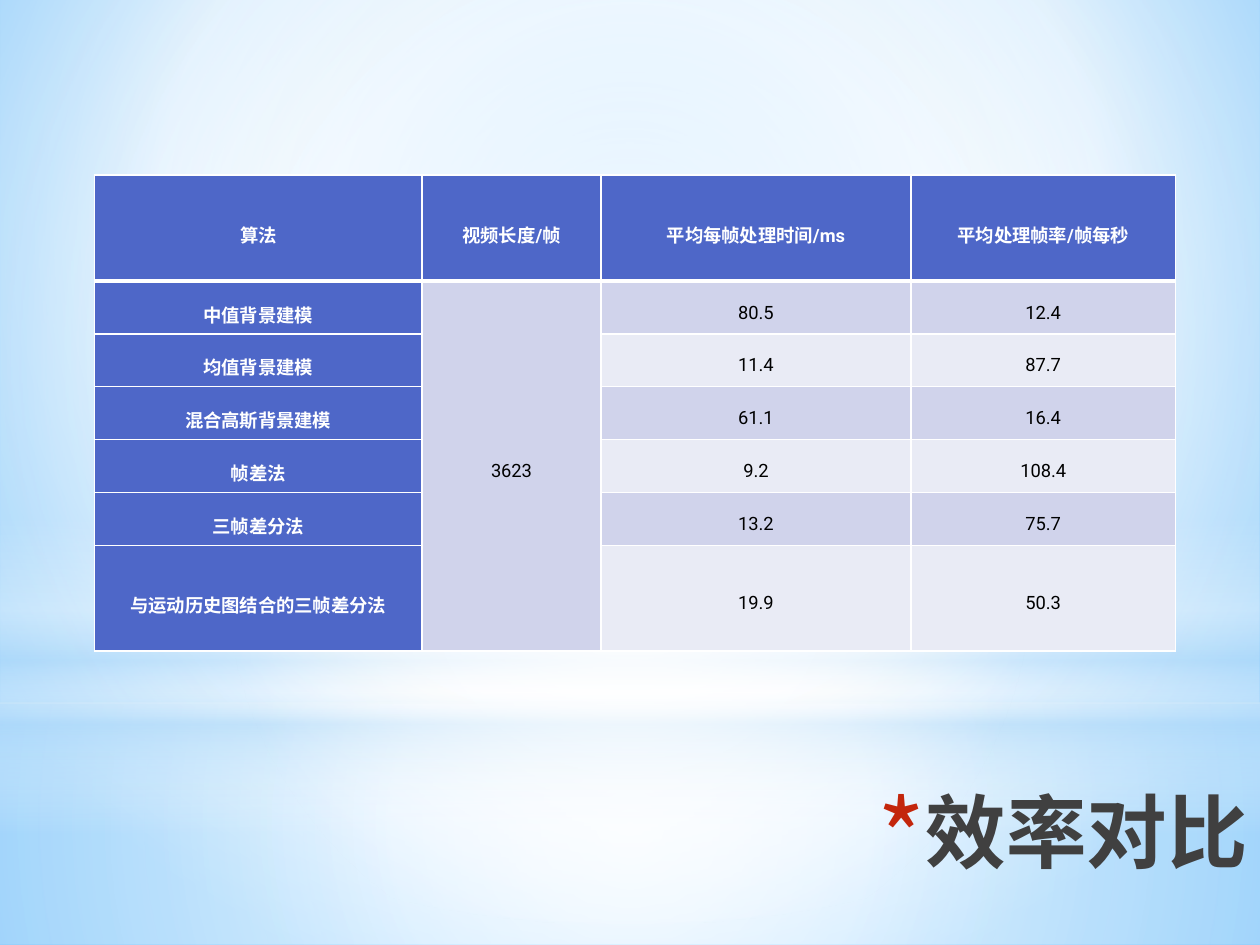
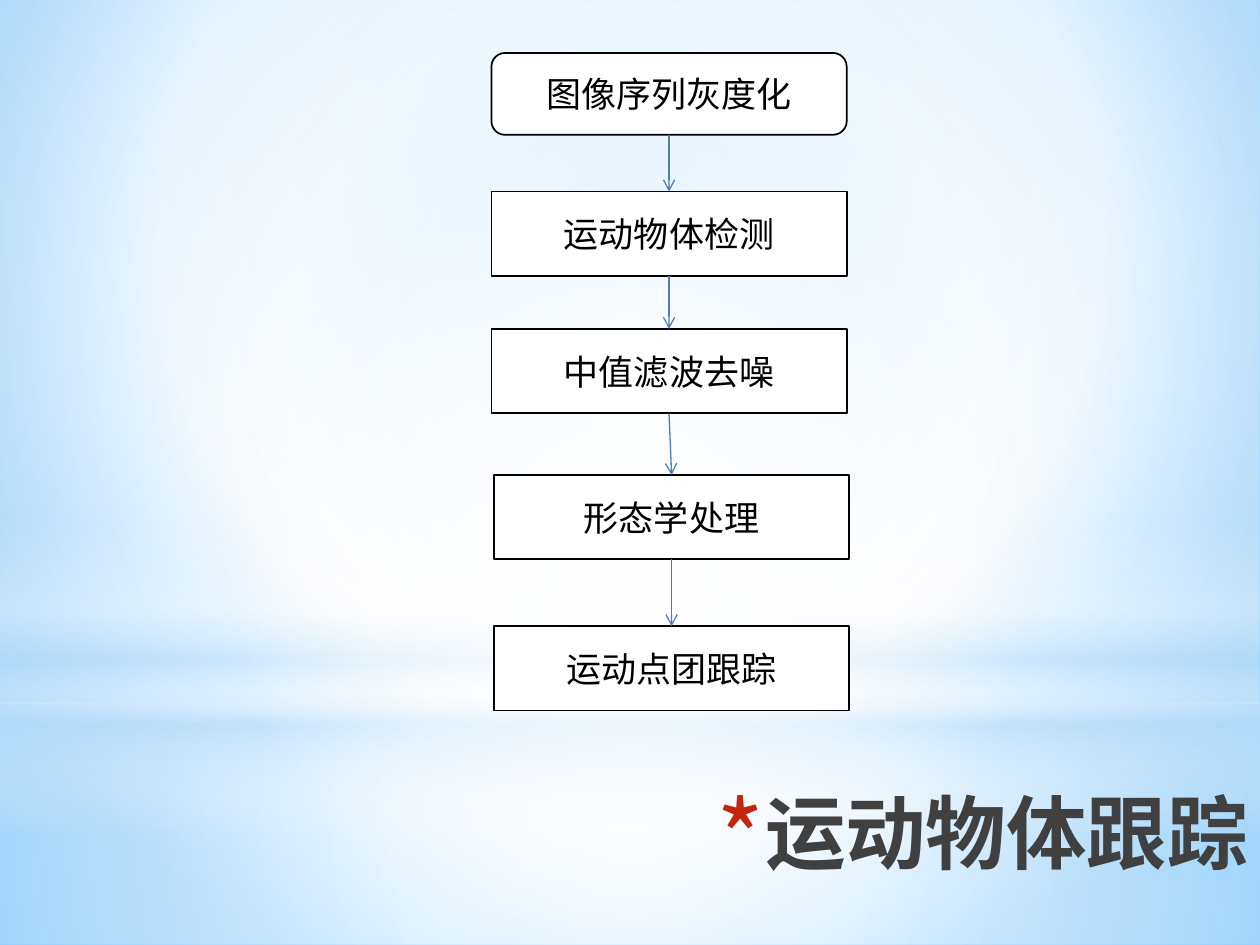
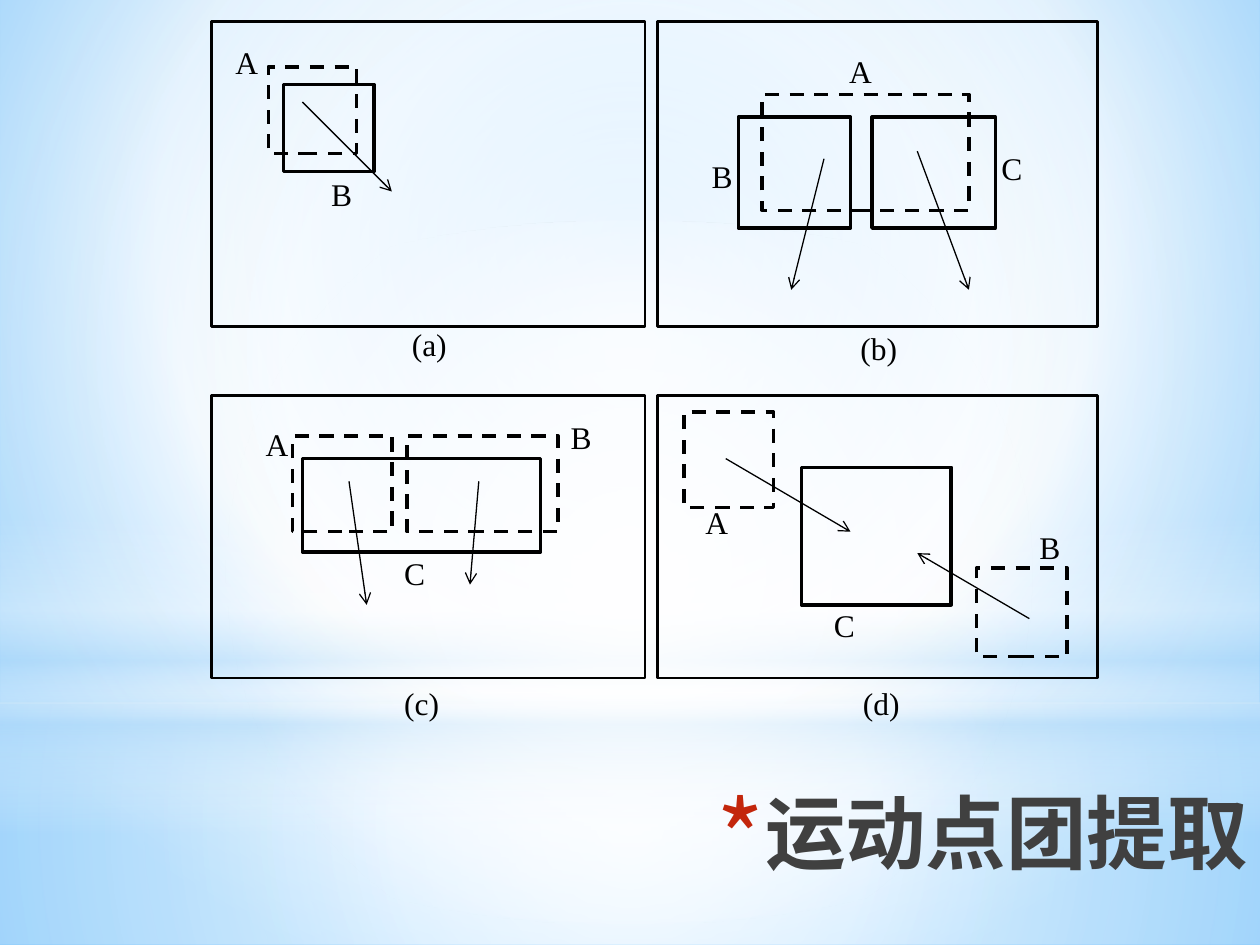
from lxml import etree
from pptx import Presentation
from pptx.dml.color import RGBColor
from pptx.enum import dml, shapes, text
from pptx.oxml.ns import qn
from pptx.util import Inches, Pt

WHITE = RGBColor(0xFF, 0xFF, 0xFF)
BLACK = RGBColor(0x00, 0x00, 0x00)
SKY = RGBColor(0x9E, 0xD5, 0xFF)
DEEP_SKY = RGBColor(0x5B, 0xB9, 0xFF)
MIST = RGBColor(0xB4, 0xDC, 0xFA)
CHARCOAL = RGBColor(0x40, 0x40, 0x40)
NAVY = RGBColor(0x21, 0x27, 0x45)
RED = RGBColor(0xC3, 0x26, 0x0C)
INDIGO = RGBColor(0x4E, 0x67, 0xC8)
BAND_DARK = RGBColor(0xD0, 0xD3, 0xEB)
BAND_LIGHT = RGBColor(0xE9, 0xEB, 0xF5)
ARROW_BLUE = RGBColor(0x4B, 0x7E, 0xBC)

RECT = shapes.MSO_SHAPE.RECTANGLE
ROUND = shapes.MSO_SHAPE.ROUNDED_RECTANGLE
OVAL = shapes.MSO_SHAPE.OVAL
ALIGN = text.PP_ALIGN
CENTERED = (50, 50, 50, 50)
SANS, SERIF, HAN, BODY = "Roboto", "Times New Roman", "Noto Sans CJK SC", "Calibri"

# Backdrop bands: shape, top, height, gradient stops (position, colour, opacity), focus
BANDS = [
    (RECT, 5.58, 1.92, [(0, WHITE, 91), (37, WHITE, 76), (100, MIST, 79)], CENTERED),
    (RECT, 0, 5.58, [(0, WHITE, 89), (48, WHITE, 62), (100, MIST, 79)], CENTERED),
    (RECT, 4.12, 2.5, [(0, WHITE, 0), (29, WHITE, 30), (45, MIST, 40),
                       (55, WHITE, 26), (65, MIST, 60), (100, WHITE, 0)], None),
    (OVAL, 1.75, 5.58, [(0, WHITE, 100), (56, WHITE, 0)], CENTERED),
]


def add(parent, tag, **attrs):
    return etree.SubElement(parent, qn(tag), {k: str(v) for k, v in attrs.items()})


def set_gradient(parent, stops, focus=None):
    """Swap the solid fill in parent for a gradient: circular with a focus, else vertical."""
    solid = parent.find(qn("a:solidFill"))
    grad = etree.Element(qn("a:gradFill"), rotWithShape="1")
    gs_list = add(grad, "a:gsLst")
    for pos, color, opacity in stops:
        clr = add(add(gs_list, "a:gs", pos=pos * 1000), "a:srgbClr", val=color)
        if opacity < 100:
            add(clr, "a:alpha", val=opacity * 1000)
    if focus:
        circle = add(grad, "a:path", path="circle")
        add(circle, "a:fillToRect", **{side: v * 1000 for side, v in zip("ltrb", focus)})
    else:
        add(grad, "a:lin", ang=90 * 60000, scaled=0)
    parent.replace(solid, grad)


class Deck:
    def __init__(self):
        self.prs = Presentation()
        self.prs.slide_width, self.prs.slide_height = Inches(10), Inches(7.5)
        self.s = None

    def slide(self, title, left, top=6.25):
        self.s = self.prs.slides.add_slide(self.prs.slide_layouts[6])
        self.s.background.fill.solid()
        set_gradient(self.s.element.find(".//" + qn("p:bgPr")),
                     [(0, SKY, 100), (60, WHITE, 100), (100, DEEP_SKY, 100)],
                     (20, 10, 20, 60))
        for kind, y, height, stops, focus in BANDS:
            sp = self.shape(kind, 0, y, 10, height, fill=WHITE)
            set_gradient(sp.element.spPr, stops, focus)
        self.title(title, left, top)

    def title(self, words, left, top):
        tf = self.s.shapes.add_textbox(Inches(left), Inches(top),
                                       Inches(10 - left), Inches(1.25)).text_frame
        tf.word_wrap = True
        p = tf.paragraphs[0]
        p.alignment, p.line_spacing = ALIGN.RIGHT, 0.9
        r = p.add_run()
        r.text = words
        self.style(r.font, SANS, 46, CHARCOAL, True)
        set_gradient(r._r.get_or_add_rPr(),
                     [(0, BLACK, 100), (40, CHARCOAL, 100), (100, NAVY, 65)])
        # Hanging red asterisk
        pPr = p._p.get_or_add_pPr()
        pPr.set("marL", str(Inches(0.35)))
        pPr.set("indent", str(-Inches(0.35)))
        add(add(pPr, "a:buClr"), "a:srgbClr", val=RED)
        add(pPr, "a:buSzPct", val=128000)
        add(pPr, "a:buFont", typeface=HAN)
        add(pPr, "a:buChar", char="*")

    def style(self, font, name, size, color, bold=False):
        font.name, font.size, font.bold = name, Pt(size), bold
        font.color.rgb = color

    def put_text(self, tf, words, name, size, color=BLACK, align=ALIGN.CENTER, bold=False):
        p = tf.paragraphs[0]
        p.text, p.alignment = words, align
        self.style(p.font, name, size, color, bold)
        return p

    def shape(self, kind, x, y, w, h, fill=None, line=None, dashed=False):
        sp = self.s.shapes.add_shape(kind, Inches(x), Inches(y), Inches(w), Inches(h))
        sp.shadow.inherit = False
        if fill is None:
            sp.fill.background()
        else:
            sp.fill.solid()
            sp.fill.fore_color.rgb = fill
        if line is None:
            sp.line.fill.background()
        else:
            sp.line.color.rgb, sp.line.width = BLACK, Pt(line)
        if dashed:
            sp.line.dash_style = dml.MSO_LINE.DASH
        return sp

    def box(self, kind, x, y, w, h, words, font):
        tf = self.shape(kind, x, y, w, h, WHITE, 1).text_frame
        tf.word_wrap, tf.vertical_anchor = True, text.MSO_ANCHOR.MIDDLE
        self.put_text(tf, words, font, 20)

    def label(self, words, x, y, w):
        tf = self.s.shapes.add_textbox(Inches(x), Inches(y), Inches(w),
                                       Inches(0.41)).text_frame
        tf.word_wrap = True
        self.put_text(tf, words, SERIF, 18, align=ALIGN.JUSTIFY)

    def arrow(self, x1, y1, x2, y2, color=BLACK):
        c = self.s.shapes.add_connector(shapes.MSO_CONNECTOR.STRAIGHT, Inches(x1),
                                        Inches(y1), Inches(x2), Inches(y2))
        c.line.color.rgb, c.line.width = color, Pt(0.75)
        spPr = c._element.spPr
        add(spPr.find(qn("a:ln")), "a:tailEnd", type="arrow")
        add(spPr, "a:effectLst")

    def cell(self, cell, words, fill, color, bold, borders):
        cell.margin_left = cell.margin_right = Inches(0.07)
        cell.margin_top = cell.margin_bottom = 0
        cell.vertical_anchor = text.MSO_ANCHOR.MIDDLE
        tcPr = cell._tc.get_or_add_tcPr()
        for side, width in borders.items():
            ln = add(tcPr, "a:ln" + side, w=Pt(width))
            add(add(ln, "a:solidFill"), "a:srgbClr", val=WHITE)
        cell.fill.solid()
        cell.fill.fore_color.rgb = fill
        p = self.put_text(cell.text_frame, words, SANS, 10.5, color, bold=bold)
        p.line_spacing = 1.5

    def table(self, x, y, widths, heights, rows):
        """Header row and first column in indigo, banded body."""
        t = self.s.shapes.add_table(len(rows), len(widths), Inches(x), Inches(y),
                                    Inches(sum(widths)), Inches(sum(heights))).table
        for col, w in zip(t.columns, widths):
            col.width = Inches(w)
        for row, h in zip(t.rows, heights):
            row.height = Inches(h)
        for i, row in enumerate(rows):
            borders = {"L": 1, "R": 1, "T": 1, "B": 3} if i == 0 else {"L": 1, "R": 1, "B": 1}
            for j, words in enumerate(row):
                head = i == 0 or j == 0
                fill = INDIGO if head else BAND_DARK if i % 2 else BAND_LIGHT
                self.cell(t.cell(i, j), words, fill, WHITE if head else BLACK, head, borders)
        return t


def efficiency_slide(deck):
    deck.slide("效率对比", 5.39, 6.24)
    t = deck.table(0.75, 1.39, [2.6, 1.42, 2.46, 2.1], [0.84] + [0.42] * 5 + [0.84], [
        ("算法", "视频长度/帧", "平均每帧处理时间/ms", "平均处理帧率/帧每秒"),
        ("中值背景建模", "3623", "80.5", "12.4"),
        ("均值背景建模", "", "11.4", "87.7"),
        ("混合高斯背景建模", "", "61.1", "16.4"),
        ("帧差法", "", "9.2", "108.4"),
        ("三帧差分法", "", "13.2", "75.7"),
        ("与运动历史图结合的三帧差分法", "", "19.9", "50.3"),
    ])
    t.cell(1, 1).merge(t.cell(6, 1))


def tracking_slide(deck):
    deck.slide("运动物体跟踪", 2.88)
    width = 2.82
    steps = [
        (ROUND, 3.9, 0.42, 0.65, "图像序列灰度化", BODY),
        (RECT, 3.9, 1.52, 0.67, "运动物体检测", BODY),
        (RECT, 3.9, 2.61, 0.67, "中值滤波去噪", HAN),
        (RECT, 3.92, 3.77, 0.67, "形态学处理", HAN),
        (RECT, 3.92, 4.97, 0.67, "运动点团跟踪", HAN),
    ]
    for kind, x, y, h, words, font in steps:
        deck.box(kind, x, y, width, h, words, font)
    for (_, x1, y1, h1, *_), (_, x2, y2, *_) in zip(steps, steps[1:]):
        deck.arrow(x1 + width / 2, y1 + h1, x2 + width / 2, y2, ARROW_BLUE)


def blob_slide(deck):
    deck.slide("运动点团提取", 5.47)
    # Four frames
    for y, h in ((0.17, 2.42), (3.14, 2.24)):
        for x, w in ((1.68, 3.44), (5.22, 3.49)):
            deck.shape(RECT, x, y, w, h, line=1.5)
    # Earlier blobs are dashed, current blobs solid
    earlier = [(2.13, 0.53, 0.7, 0.69), (6.05, 0.75, 1.64, 0.92), (2.32, 3.46, 0.79, 0.76),
               (3.23, 3.46, 1.2, 0.76), (5.43, 3.27, 0.71, 0.76), (7.75, 4.51, 0.72, 0.7)]
    current = [(2.25, 0.67, 0.72, 0.69), (5.86, 0.93, 0.89, 0.88), (6.92, 0.93, 0.98, 0.88),
               (2.4, 3.64, 1.89, 0.74), (6.36, 3.71, 1.19, 1.09)]
    for blobs, dashed in ((earlier, True), (current, False)):
        for blob in blobs:
            deck.shape(RECT, *blob, line=2, dashed=dashed)
    # Directions of motion
    for motion in [(8.17, 4.91, 7.28, 4.39), (5.76, 3.64, 6.75, 4.22),
                   (6.54, 1.26, 6.28, 2.3), (7.28, 1.2, 7.69, 2.3),
                   (2.4, 0.81, 3.11, 1.52), (2.77, 3.82, 2.91, 4.8),
                   (3.8, 3.82, 3.73, 4.64)]:
        deck.arrow(*motion)
    # Frame captions, then blob names in the upper and lower frames
    labels = {
        0.55: [("(a)", 3.17, 2.53), ("(b)", 6.73, 2.56), ("(c)", 3.11, 5.38),
               ("(d)", 6.75, 5.38)],
        0.44: [("A", 1.77, 0.29), ("B", 2.53, 1.34), ("A", 6.64, 0.36),
               ("B", 5.55, 1.2), ("C", 7.85, 1.13)],
        0.37: [("A", 2.01, 3.32), ("B", 4.43, 3.27), ("C", 3.11, 4.35),
               ("A", 5.5, 3.94), ("B", 8.15, 4.14), ("C", 6.52, 4.76)],
    }
    for width, group in labels.items():
        for words, x, y in group:
            deck.label(words, x, y, width)


def main():
    deck = Deck()
    efficiency_slide(deck)
    tracking_slide(deck)
    blob_slide(deck)
    deck.prs.save("out.pptx")


if __name__ == "__main__":
    main()
